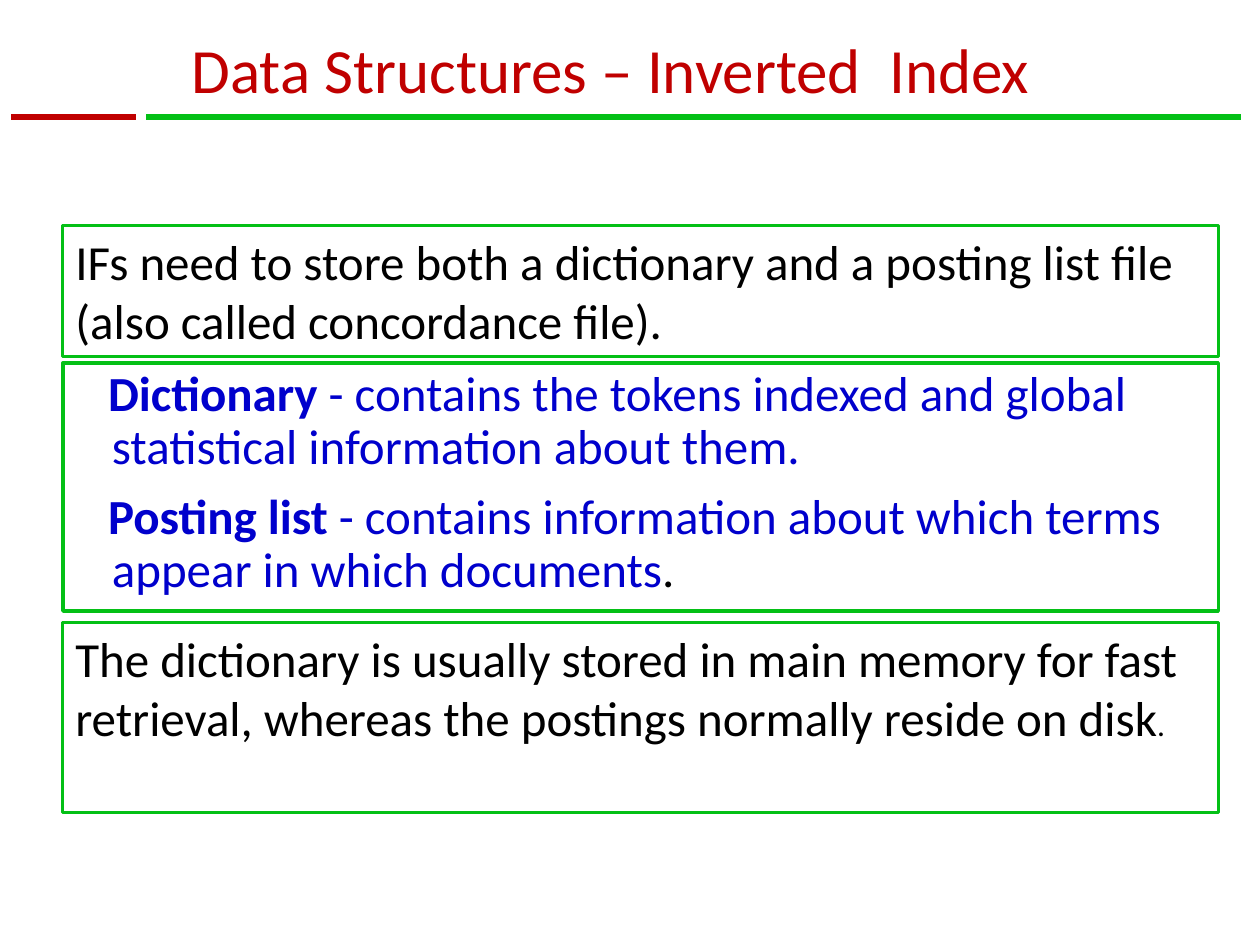
from pptx import Presentation
from pptx.dml.color import RGBColor
from pptx.enum.shapes import MSO_CONNECTOR, MSO_SHAPE
from pptx.enum.text import MSO_ANCHOR, MSO_AUTO_SIZE, PP_ALIGN
from pptx.oxml.ns import qn
from pptx.util import Inches, Pt
from lxml.etree import SubElement

RED = RGBColor(0xC0, 0x00, 0x00)
GREEN = RGBColor(0x04, 0xC0, 0x16)
BLUE = RGBColor(0x00, 0x00, 0xCC)
BLACK = RGBColor(0x00, 0x00, 0x00)

TITLE = "Data Structures – Inverted  Index"
PLAIN = {"name": "Calibri", "size": Pt(28), "bold": False, "color": BLACK}
HEAD = {**PLAIN, "size": Pt(36), "color": RED}
TERM = {**PLAIN, "bold": True, "color": BLUE}
NOTE = {**PLAIN, "color": BLUE}
SMALL = {**PLAIN, "size": Pt(18)}
TIGHT = {"line_spacing": 0.9}
HANG = {"marL": Inches(0.29), "indent": Inches(-0.03)}

BOXES = [
    (1.79, 1.04, 1.75, {}, {}, [
        [("IFs need to store both a dictionary and a posting list file "
          "(also called concordance file).", PLAIN)],
    ]),
    (2.88, 1.97, 2, TIGHT, HANG, [
        [("Dictionary ", TERM),
         ("- contains the tokens indexed and global statistical "
          "information about them.", NOTE)],
        [("Posting list ", TERM),
         ("- contains information about which terms appear in which "
          "documents", NOTE), (".", PLAIN)],
    ]),
    (4.94, 1.51, 1.75, {}, {}, [
        [("The dictionary is usually stored in main memory for fast "
          "retrieval, whereas the postings normally reside on disk", PLAIN),
         (".", SMALL)],
    ]),
]
RULES = [(1.16, 9.85, GREEN), (0.09, 1.08, RED)]
LEFT, WIDTH, RULE_Y = 0.5, 9.17, 0.93


def apply(obj, form):
    for key, val in form.items():
        if key == "color":
            obj.color.rgb = val
        else:
            setattr(obj, key, val)


def write(frame, paras, form, hang):
    apply(frame, {"word_wrap": True, "auto_size": MSO_AUTO_SIZE.NONE})
    for i, runs in enumerate(paras):
        para = frame.add_paragraph() if i else frame.paragraphs[0]
        for key, val in hang.items():
            para._p.get_or_add_pPr().set(key, str(val))
        apply(para, {"alignment": PP_ALIGN.LEFT, **form})
        if i:
            para.space_before = Pt(10)
        for text, font in runs:
            run = para.add_run()
            run.text = text
            apply(run.font, font)


def add_box(slide, top, high, thick, form, hang, paras):
    box = slide.shapes.add_shape(
        MSO_SHAPE.RECTANGLE, *map(Inches, (LEFT, top, WIDTH, high)))
    box.shadow.inherit = False
    box.fill.background()
    apply(box.line, {"color": GREEN, "width": Pt(thick)})
    box.text_frame.vertical_anchor = MSO_ANCHOR.TOP
    write(box.text_frame, paras, form, hang)


def add_rule(slide, start, end, color):
    rule = slide.shapes.add_connector(
        MSO_CONNECTOR.STRAIGHT, *map(Inches, (start, RULE_Y, end, RULE_Y)))
    apply(rule.line, {"color": color, "width": Pt(3.25)})
    SubElement(rule._element.spPr, qn("a:effectLst"))


def main():
    deck = Presentation()
    apply(deck, {"slide_width": Inches(10), "slide_height": Inches(7.5)})
    slide = deck.slides.add_slide(deck.slide_layouts[5])
    title = slide.shapes.title
    apply(title, {"left": Inches(1.42), "top": Inches(0.19),
                  "width": Inches(7.32), "height": Inches(0.78)})
    title.text_frame.vertical_anchor = MSO_ANCHOR.MIDDLE
    write(title.text_frame, [[(TITLE, HEAD)]], TIGHT, {})
    for rule in RULES:
        add_rule(slide, *rule)
    for box in BOXES:
        add_box(slide, *box)
    deck.save("out.pptx")


if __name__ == "__main__":
    main()
